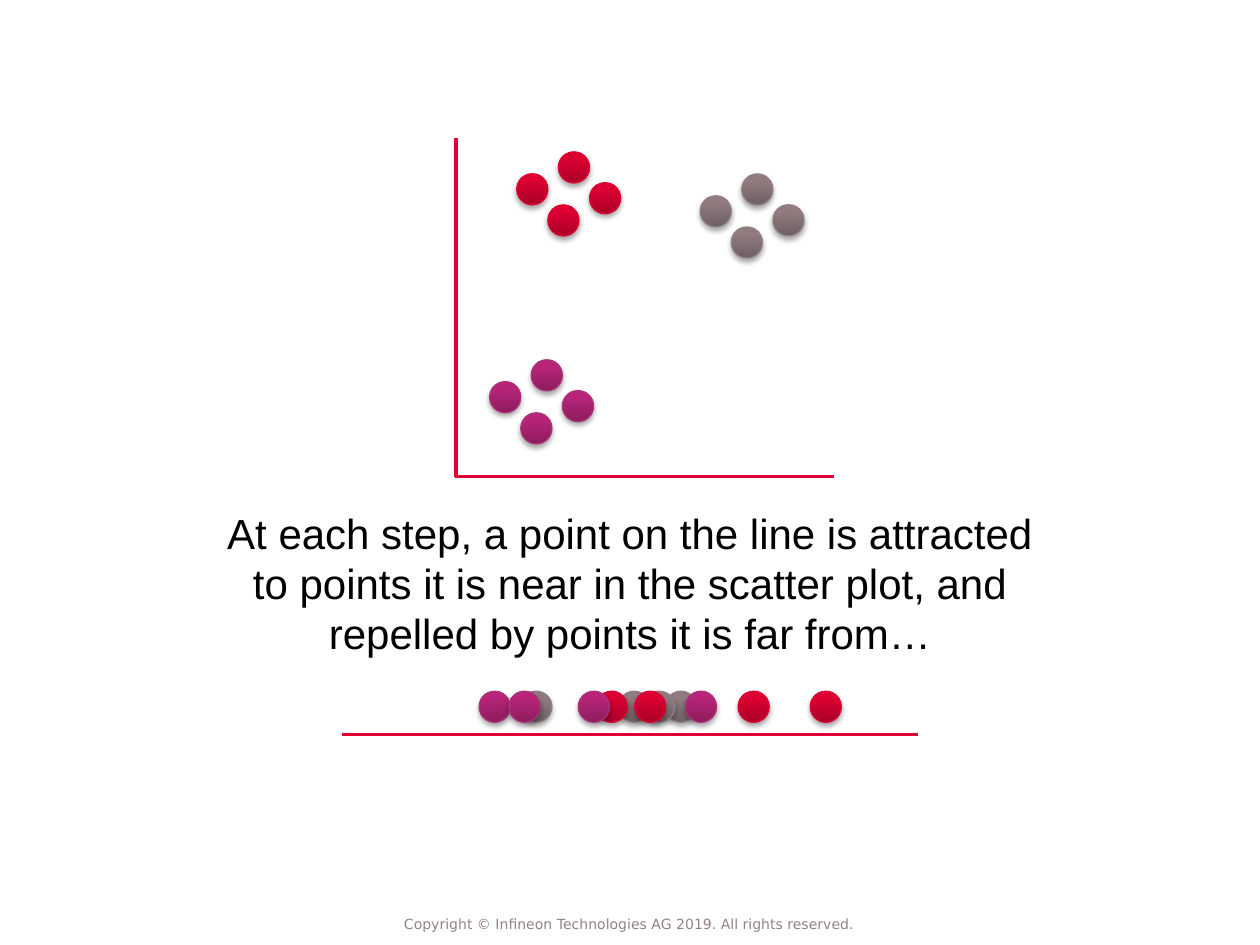
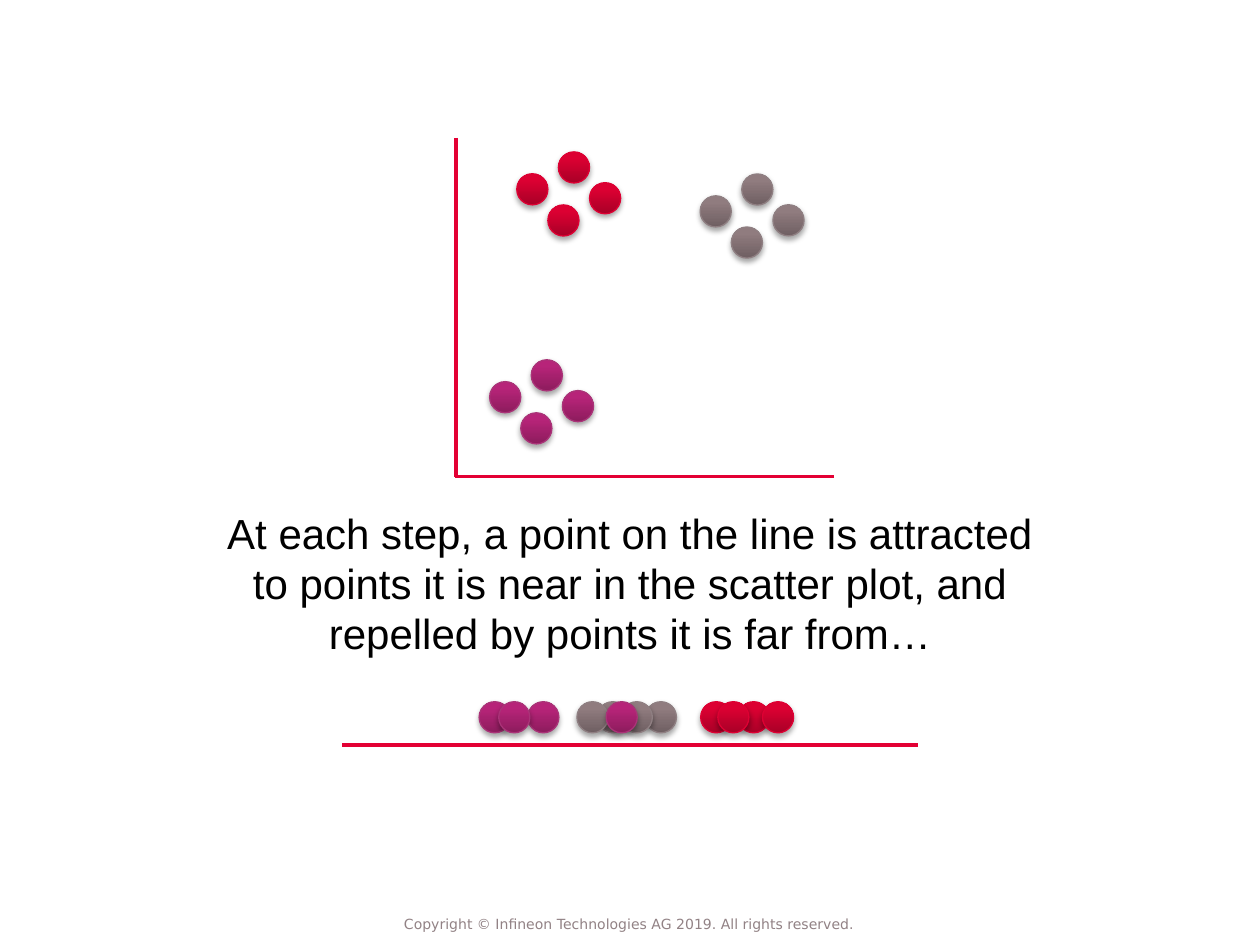
from lxml import etree
from pptx import Presentation
from pptx import util as u
from pptx.dml.color import RGBColor
from pptx.enum import shapes, text
from pptx.oxml.ns import qn

Pt = u.Pt

CAPTION = ("At each step, a point on the line is attracted to points it is near "
           "in the scatter plot, and repelled by points it is far from…")
COPYRIGHT = "Copyright © Infineon Technologies AG 2019. All rights reserved."

AXIS_COLOR = "E30034"
POINT_STYLES = {
    "red": {"stops": [(0, "A90027"), (80, "DC0032"), (100, "DD0033")], "line": "DE0033"},
    "purple": {"stops": [(0, "8D1C5D"), (80, "B72479"), (100, "BA227A")], "line": "AA3378"},
    "gray": {"stops": [(0, "6F5F62"), (80, "907C7F"), (100, "917C80")], "line": "8F7F82"},
}
DIAMETER = 17.8
CLUSTER_ORIGINS = [("red", 295.3, 86.8), ("purple", 279.8, 205.6), ("gray", 400.1, 99.4)]
CLUSTER_OFFSETS = [(0, 12.5), (23.8, 0), (17.8, 30.3), (41.6, 17.6)]
PLOT_AXES = [(476.6, 272.2, 260, 272.2), (260.6, 78.8, 260.6, 272.4)]
NUMBER_LINE = (195.5, 524.5)
BASELINE_GAP = 24.8

STEPS = [
    {"top": 395, "points": [
        ("red", 421.8), ("purple", 273.8), ("red", 463), ("gray", 380.2),
        ("gray", 367.9), ("gray", 353.5), ("gray", 297.6), ("red", 340.7),
        ("purple", 330.5), ("purple", 290.8), ("red", 362.7), ("purple", 391.7)]},
    {"top": 401, "points": [
        ("red", 421.8), ("purple", 273.8), ("red", 435.7), ("gray", 368.8),
        ("gray", 355), ("gray", 341.3), ("gray", 329.7), ("red", 400.4),
        ("purple", 301.6), ("purple", 285), ("red", 410.2), ("purple", 346.4)]},
]


def rgb(color):
    return RGBColor.from_string(color)


def add_color(parent, color, alpha=None):
    element = etree.SubElement(parent, qn("a:srgbClr"), val=color)
    if alpha is not None:
        etree.SubElement(element, qn("a:alpha"), val=str(alpha * 1000))


def add_point(container, style_name, left, top):
    style = POINT_STYLES[style_name]
    shape = container.add_shape(shapes.MSO_SHAPE.OVAL, Pt(left), Pt(top),
                                Pt(DIAMETER), Pt(DIAMETER))
    shape.fill.gradient()
    shape.fill.gradient_angle = 90
    properties = shape.element.spPr
    stop_list = properties.find(".//" + qn("a:gsLst"))
    for stop in list(stop_list):
        stop_list.remove(stop)
    for position, color in style["stops"]:
        add_color(etree.SubElement(stop_list, qn("a:gs"), pos=str(position * 1000)), color)
    shape.line.color.rgb = rgb(style["line"])
    shape.line.width = Pt(0.75)
    shape.shadow.inherit = False
    shadow = etree.SubElement(properties.find(qn("a:effectLst")), qn("a:outerShdw"),
                              blurRad=str(Pt(3.1)), dist=str(Pt(1.8)),
                              dir="5400000", rotWithShape="0")
    add_color(shadow, "000000", 35)


def add_axis(slide, *ends):
    connector = slide.shapes.add_connector(shapes.MSO_CONNECTOR.STRAIGHT, *map(Pt, ends))
    connector.line.color.rgb = rgb(AXIS_COLOR)
    connector.line.width = Pt(2)
    etree.SubElement(connector.element.spPr, qn("a:effectLst"))


def add_text(slide, content, box, size, font, color):
    shape = slide.shapes.add_textbox(*map(Pt, box))
    shape.text_frame.word_wrap = True
    paragraph = shape.text_frame.paragraphs[0]
    paragraph.alignment = text.PP_ALIGN.CENTER
    run = paragraph.add_run()
    run.text = content
    run.font.size = Pt(size)
    run.font.name = font
    run.font.color.rgb = rgb(color)
    return shape.text_frame


def add_scatter_plot(slide):
    for style_name, left, top in CLUSTER_ORIGINS:
        cluster = slide.shapes.add_group_shape()
        for across, down in CLUSTER_OFFSETS:
            add_point(cluster.shapes, style_name, left + across, top + down)
    for ends in PLOT_AXES:
        add_axis(slide, *ends)


def add_number_line(slide, step):
    start, end = NUMBER_LINE
    baseline = step["top"] + BASELINE_GAP
    add_axis(slide, end, baseline, start, baseline)
    for style_name, left in step["points"]:
        add_point(slide.shapes, style_name, left, step["top"])


def add_caption(slide):
    frame = add_text(slide, CAPTION, (113, 286.3, 494, 94), 24, "Arial", "000000")
    frame.auto_size = text.MSO_AUTO_SIZE.SHAPE_TO_FIT_TEXT


def add_footer(slide):
    frame = add_text(slide, COPYRIGHT, (209.6, 516.2, 300, 23.8), 8, "DejaVu Sans", "928285")
    frame.vertical_anchor = text.MSO_ANCHOR.MIDDLE
    frame.margin_left = frame.margin_right = frame.margin_top = frame.margin_bottom = 0


def main():
    presentation = Presentation()
    presentation.slide_width, presentation.slide_height = Pt(720), Pt(540)
    for step in STEPS:
        slide = presentation.slides.add_slide(presentation.slide_layouts[6])
        add_scatter_plot(slide)
        add_number_line(slide, step)
        add_caption(slide)
        add_footer(slide)
    presentation.save("out.pptx")


if __name__ == "__main__":
    main()
